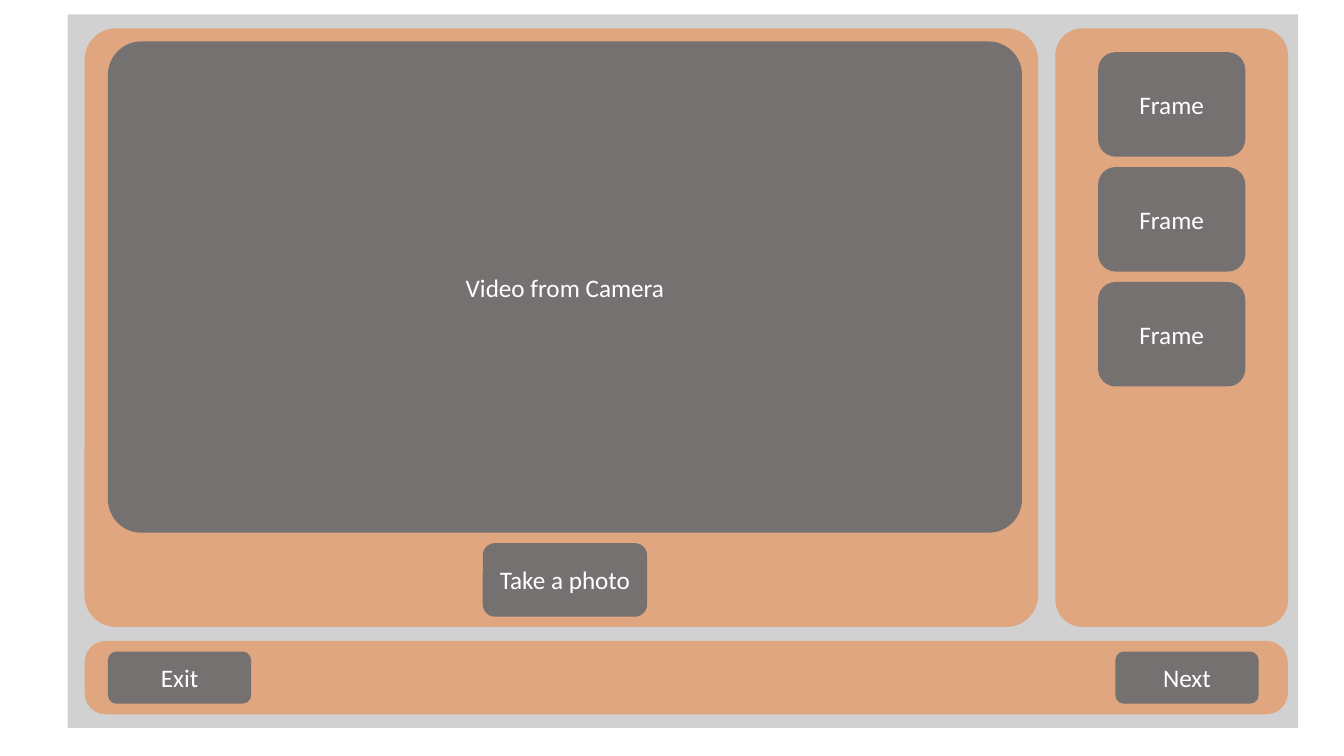
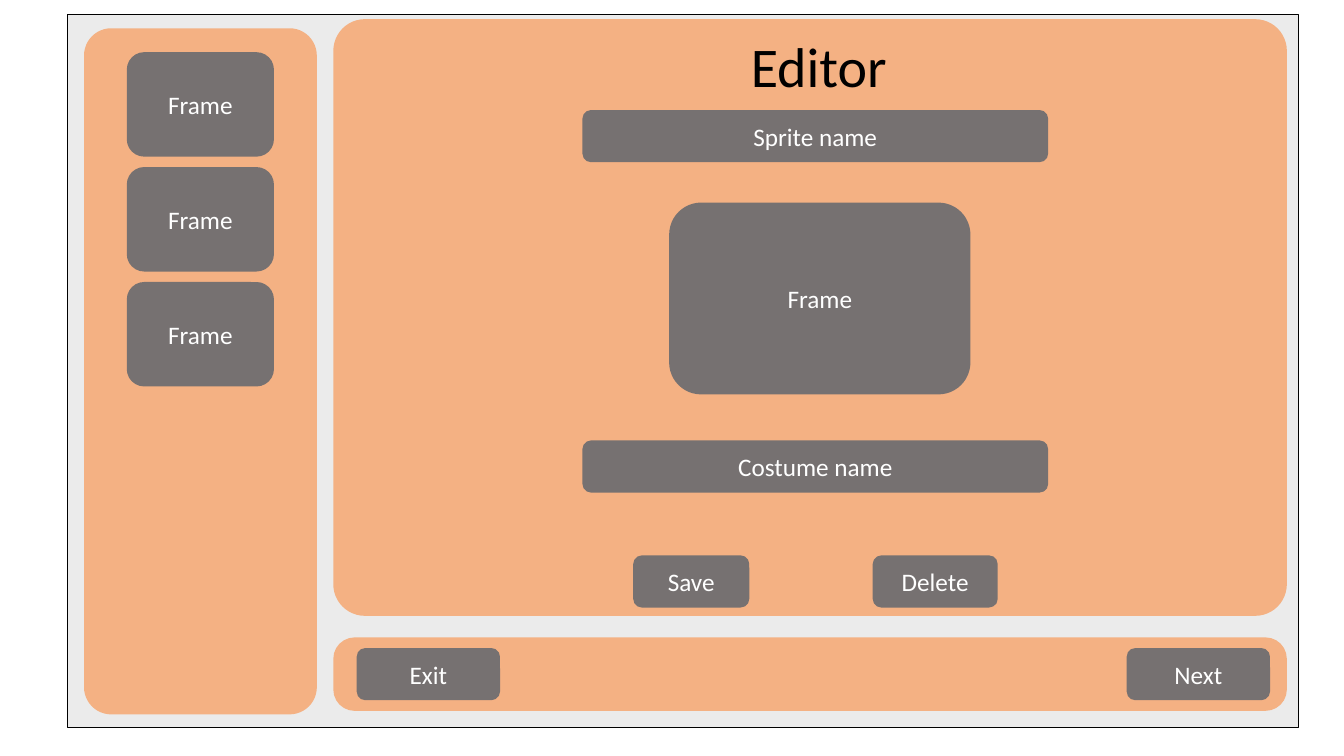
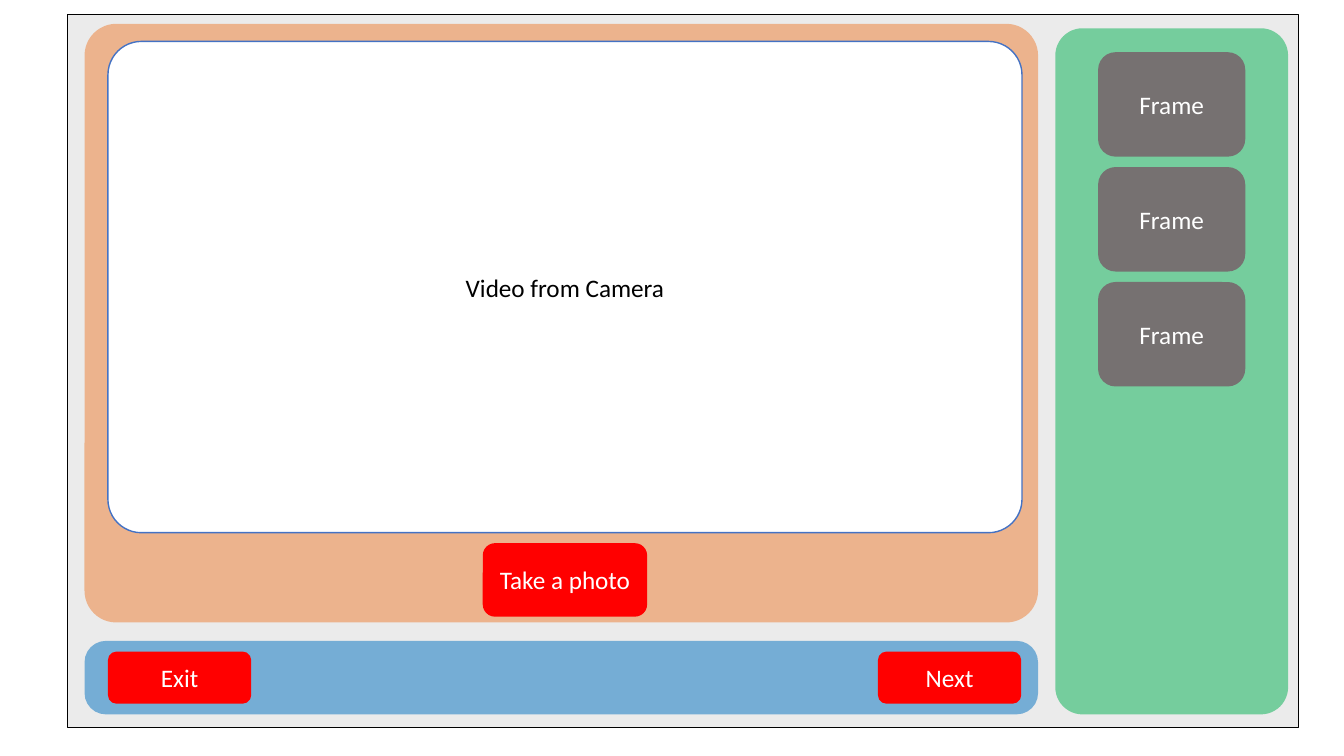
from lxml import etree
from pptx import Presentation
from pptx.dml.color import RGBColor
from pptx.enum.shapes import MSO_SHAPE
from pptx.enum.text import MSO_ANCHOR, MSO_AUTO_SIZE, PP_ALIGN
from pptx.oxml.ns import qn
from pptx.util import Pt

RECT, ROUNDED = MSO_SHAPE.RECTANGLE, MSO_SHAPE.ROUNDED_RECTANGLE
MIDDLE, CENTER = MSO_ANCHOR.MIDDLE, PP_ALIGN.CENTER
FIT_SHAPE = MSO_AUTO_SIZE.SHAPE_TO_FIT_TEXT

FONT = "Calibri"
COLORS = {
    "backdrop": "A5A5A5", "pale": "D9D9D9", "control": "767171",
    "orange": "ED7D31", "peach": "F4B183", "green": "00B050",
    "blue": "0070C0", "red": "FF0000", "outline": "4472C4",
    "white": "FFFFFF", "black": "000000",
}

# Shared geometry, in points
BACKDROP = (48.24, 10.2, 879.1, 509.7)
LEFT, TOP, RIGHT = 60.4, 20.2, 753.8
MAIN_W, MAIN_H = 681.1, 427.6
SIDE_W, SIDE_H = 166.3, 490.1
BAR_H = 52.5
MAIN_ROUND, SIDE_ROUND, BAR_ROUND, VIDEO_ROUND = 0.053, 0.117, 0.29, 0.068
BUTTON_W, BUTTON_H, BUTTON_INSET = 102.4, 37.3, 16.7
FRAME_W, FRAME_H, FRAME_TOP, FRAME_PITCH = 105.1, 74.6, 37.3, 82.08
VIDEO = (77.1, 29.6, 652.9, 350.9)
PHOTO_W, PHOTO_H, PHOTO_TOP = 117.4, 52.5, 388
EDITOR_LEFT = 238.1

FRAMES = ["Frame", "Frame", "Frame"]

CAMERA_SCREENS = [
    {"backdrop": ("backdrop", None), "main_top": TOP,
     "side": ("orange", MAIN_H), "bar": ("orange", 859.5, 20.8),
     "button": "control", "video": ("control", "white", None)},
    {"backdrop": ("pale", "black"), "main_top": 17,
     "side": ("green", SIDE_H), "bar": ("blue", MAIN_W, 12),
     "button": "red", "video": ("white", "black", "outline")},
]

EDITOR_CONTROLS = [
    ("Save", (452.3, 396.7, 82.9, BUTTON_H)),
    ("Delete", (623.4, 396.7, 89.3, BUTTON_H)),
    ("Sprite name", (416, 78.6, 332.7, BUTTON_H)),
    ("Costume name", (416, 314.6, 332.7, BUTTON_H)),
    ("Frame", (478, 144.7, 215.2, 137)),
]


def rgb(name):
    return RGBColor.from_string(COLORS[name])


def style_text(frame, size, color):
    font = frame.paragraphs[0].runs[0].font
    font.name, font.size = FONT, Pt(size)
    font.color.rgb = rgb(color)


def add_box(slide, area, fill, label="", kind=ROUNDED, rounding=None,
            alpha=None, line=None, line_width=0.75, ink="white"):
    """Add a filled shape; alpha is its opacity in percent."""
    box = slide.shapes.add_shape(kind, *map(Pt, area))
    box.shadow.inherit = False
    box.fill.solid()
    box.fill.fore_color.rgb = rgb(fill)
    if alpha is not None:
        color = box.fill._xPr.find(".//" + qn("a:srgbClr"))
        etree.SubElement(color, qn("a:alpha"), val=str(alpha * 1000))
    if line:
        box.line.color.rgb = rgb(line)
        box.line.width = Pt(line_width)
    else:
        box.line.fill.background()
    if rounding is not None:
        box.adjustments[0] = rounding
    if label:
        frame = box.text_frame
        frame.text = label
        frame.vertical_anchor = MIDDLE
        frame.paragraphs[0].alignment = CENTER
        style_text(frame, 18, ink)


def add_backdrop(slide, fill, line):
    add_box(slide, BACKDROP, fill, kind=RECT, alpha=50, line=line)


def add_frame_strip(slide, left, height, fill, alpha=None):
    add_box(slide, (left, TOP, SIDE_W, height), fill,
            rounding=SIDE_ROUND, alpha=alpha)
    frame_left = left + (SIDE_W - FRAME_W) / 2
    for row, label in enumerate(FRAMES):
        top = FRAME_TOP + row * FRAME_PITCH
        add_box(slide, (frame_left, top, FRAME_W, FRAME_H), "control", label)


def add_navigation(slide, left, top, width, fill, button, right_inset, alpha=None):
    add_box(slide, (left, top, width, BAR_H), fill,
            rounding=BAR_ROUND, alpha=alpha)
    button_top = top + (BAR_H - BUTTON_H) / 2
    next_left = left + width - right_inset - BUTTON_W
    for label, x in (("Exit", left + BUTTON_INSET), ("Next", next_left)):
        add_box(slide, (x, button_top, BUTTON_W, BUTTON_H), button, label)


def build_camera(slide, screen):
    add_backdrop(slide, *screen["backdrop"])
    add_box(slide, (LEFT, screen["main_top"], MAIN_W, MAIN_H), "orange",
            rounding=MAIN_ROUND, alpha=50)
    side_fill, side_height = screen["side"]
    add_frame_strip(slide, RIGHT, side_height, side_fill, alpha=50)
    bar_fill, bar_width, right_inset = screen["bar"]
    add_navigation(slide, LEFT, 457.8, bar_width, bar_fill, screen["button"],
                   right_inset, alpha=50)
    video_fill, ink, outline = screen["video"]
    add_box(slide, VIDEO, video_fill, "Video from Camera", rounding=VIDEO_ROUND,
            line=outline, line_width=1, ink=ink)
    photo_left = VIDEO[0] + (VIDEO[2] - PHOTO_W) / 2
    add_box(slide, (photo_left, PHOTO_TOP, PHOTO_W, PHOTO_H),
            screen["button"], "Take a photo")


def build_editor(slide):
    add_backdrop(slide, "pale", "black")
    add_frame_strip(slide, 60, SIDE_H, "peach")
    add_navigation(slide, EDITOR_LEFT, 455.3, MAIN_W, "peach", "control", 12)
    add_box(slide, (EDITOR_LEFT, 13.7, MAIN_W, 426.2), "peach",
            rounding=MAIN_ROUND)
    heading = slide.shapes.add_textbox(Pt(529.2), Pt(18.7), Pt(112.3), Pt(55.4))
    frame = heading.text_frame
    frame.word_wrap = False
    frame.auto_size = FIT_SHAPE
    frame.text = "Editor"
    style_text(frame, 40, "black")
    for label, area in EDITOR_CONTROLS:
        add_box(slide, area, "control", label)


def main():
    prs = Presentation()
    prs.slide_width, prs.slide_height = Pt(960), Pt(540)
    blank = prs.slide_layouts[6]
    first, last = CAMERA_SCREENS
    build_camera(prs.slides.add_slide(blank), first)
    build_editor(prs.slides.add_slide(blank))
    build_camera(prs.slides.add_slide(blank), last)
    prs.save("out.pptx")


if __name__ == "__main__":
    main()
